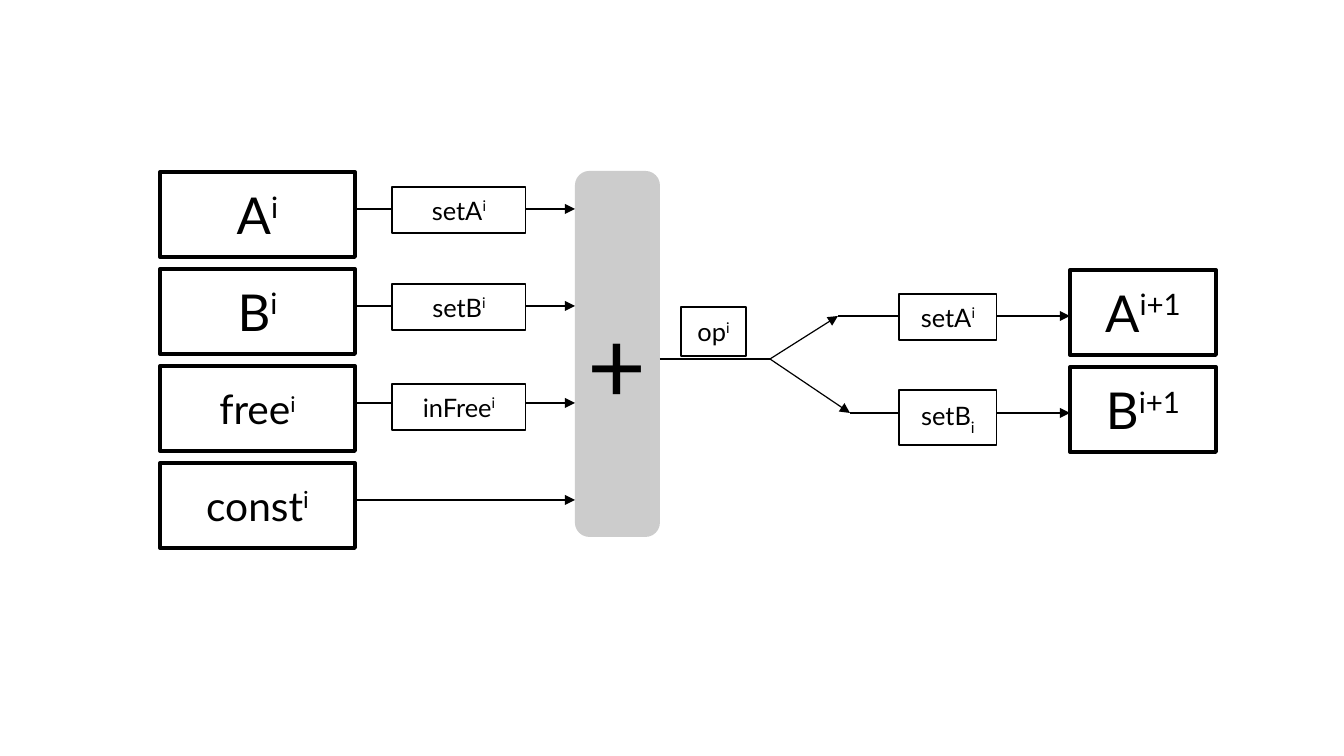
from lxml.etree import SubElement
from pptx import Presentation
from pptx.dml.color import RGBColor
from pptx.enum.shapes import MSO_CONNECTOR, MSO_SHAPE
from pptx.enum.text import MSO_ANCHOR, PP_ALIGN
from pptx.oxml.ns import qn
from pptx.util import Emu, Pt

BLACK, WHITE, GREY = "000000", "FFFFFF", "CCCCCC"
SUPER, SUB = "33000", "-33000"
REGISTER = {"line_width": 2.27, "fill": None, "inset": (13, 7)}
LABEL = {"line_width": 0.71, "fill": WHITE, "inset": (12, 6)}
OPERATION = {**LABEL, "fill": None}


def px(length):
    """Turn a length in px into EMU, at 122 px to the inch."""
    return Emu(round(length * 914400 / 122))


def color(hex_value):
    """Turn a hex string into a colour."""
    return RGBColor.from_string(hex_value)


def write(frame, runs, inset):
    """Write centred runs of (text, size, baseline) into a text frame."""
    side, edge = map(px, inset)
    layout = {"word_wrap": True, "vertical_anchor": MSO_ANCHOR.MIDDLE,
              "margin_left": side, "margin_right": side,
              "margin_top": edge, "margin_bottom": edge}
    for name, value in layout.items():
        setattr(frame, name, value)
    paragraph = frame.paragraphs[0]
    paragraph.alignment = PP_ALIGN.CENTER
    for text, size, baseline in runs:
        run = paragraph.add_run()
        run.text = text
        for name, value in {"name": "Lato", "size": Pt(size)}.items():
            setattr(run.font, name, value)
        run.font.color.rgb = color(BLACK)
        if baseline:
            run._r.get_or_add_rPr().set("baseline", baseline)


def add_box(slide, box, base, size, index="i", index_size=None,
            baseline=SUPER, style=LABEL):
    """Add an outlined rectangle holding a name with a raised or lowered index."""
    rectangle = slide.shapes.add_shape(MSO_SHAPE.RECTANGLE, *map(px, box))
    rectangle.shadow.inherit = False
    if style["fill"]:
        rectangle.fill.solid()
        rectangle.fill.fore_color.rgb = color(style["fill"])
    else:
        rectangle.fill.background()
    rectangle.line.color.rgb = color(BLACK)
    rectangle.line.width = Pt(style["line_width"])
    runs = [(base, size, None), (index, index_size or size, baseline)]
    write(rectangle.text_frame, runs, style["inset"])


def add_wire(slide, start, end, arrow=True):
    """Add a thin straight line, with an arrowhead at its end if asked."""
    wire = slide.shapes.add_connector(
        MSO_CONNECTOR.STRAIGHT, *map(px, start + end))
    wire.line.color.rgb = color(BLACK)
    wire.line.width = Pt(0.71)
    if arrow:
        SubElement(wire.line._get_or_add_ln(), qn("a:tailEnd"), type="triangle")
    SubElement(wire._element.spPr, qn("a:effectLst"))


def draw_inputs(slide, box):
    """Draw the input registers, one per row, with their selectors and arrows."""
    left, top, width, _ = box
    register_width, register_height, pitch = 195, 85, 97
    rows = [("A", 30, 30, "setA", 15), ("B", 30, 30, "setB", 15),
            ("free", 24, 22, "inFree", 18), ("const", 24, 24, None, 0)]
    for row, (register, size, index_size, selector, drop) in enumerate(rows):
        row_top = top + row * pitch
        wire_y = row_top + 37
        add_wire(slide, (left + register_width, wire_y), (left + width, wire_y))
        add_box(slide, (left, row_top, register_width, register_height),
                register, size, index_size=index_size, style=REGISTER)
        if selector:
            add_box(slide, (left + 232, row_top + drop, 134, 46), selector, 15)


def draw_adder(slide, box):
    """Draw the grey adder bar with its plus sign."""
    left, top, width, _ = box
    adder = slide.shapes.add_shape(MSO_SHAPE.ROUNDED_RECTANGLE, *map(px, box))
    adder.adjustments[0] = 0.17
    adder.shadow.inherit = False
    adder.fill.solid()
    adder.fill.fore_color.rgb = color(GREY)
    adder.line.fill.background()
    plus = slide.shapes.add_textbox(*map(px, (left, top + 116, width, 151)))
    write(plus.text_frame, [("+", 60, None)], (12, 6))


def draw_outputs(slide, box):
    """Draw the operation, the fork and the next-step registers."""
    left, top, width, _ = box
    fork = (left + 110, top + 89)
    register_width, register_height, pitch = 146, 85, 97
    register_left = left + width - register_width
    add_wire(slide, (left, fork[1]), fork, arrow=False)
    add_box(slide, (left + 21, top + 37, 65, 49), "op", 15, style=OPERATION)
    rows = [("A", 178, 24, 46, 15, SUPER), ("B", 190, 23, 55, 16, SUB)]
    for row, (name, bend, drop, height, index_size, baseline) in enumerate(rows):
        row_top = top + row * pitch
        branch = (left + bend, row_top + 46)
        add_wire(slide, fork, branch)
        add_wire(slide, branch, (register_left, branch[1]))
        add_box(slide, (left + 239, row_top + drop, 98, height), f"set{name}",
                15, index_size=index_size, baseline=baseline)
        add_box(slide, (register_left, row_top, register_width, register_height),
                name, 30, index="i+1", style=REGISTER)


def main():
    """Build the state machine slide and save it."""
    deck = Presentation()
    deck.slide_width, deck.slide_height = px(1344), px(756)
    slide = deck.slides.add_slide(deck.slide_layouts[6])
    draw_adder(slide, (575, 171, 85, 366))
    draw_inputs(slide, (160, 172, 415, 376))
    draw_outputs(slide, (660, 270, 556, 182))
    deck.save("out.pptx")


if __name__ == "__main__":
    main()
